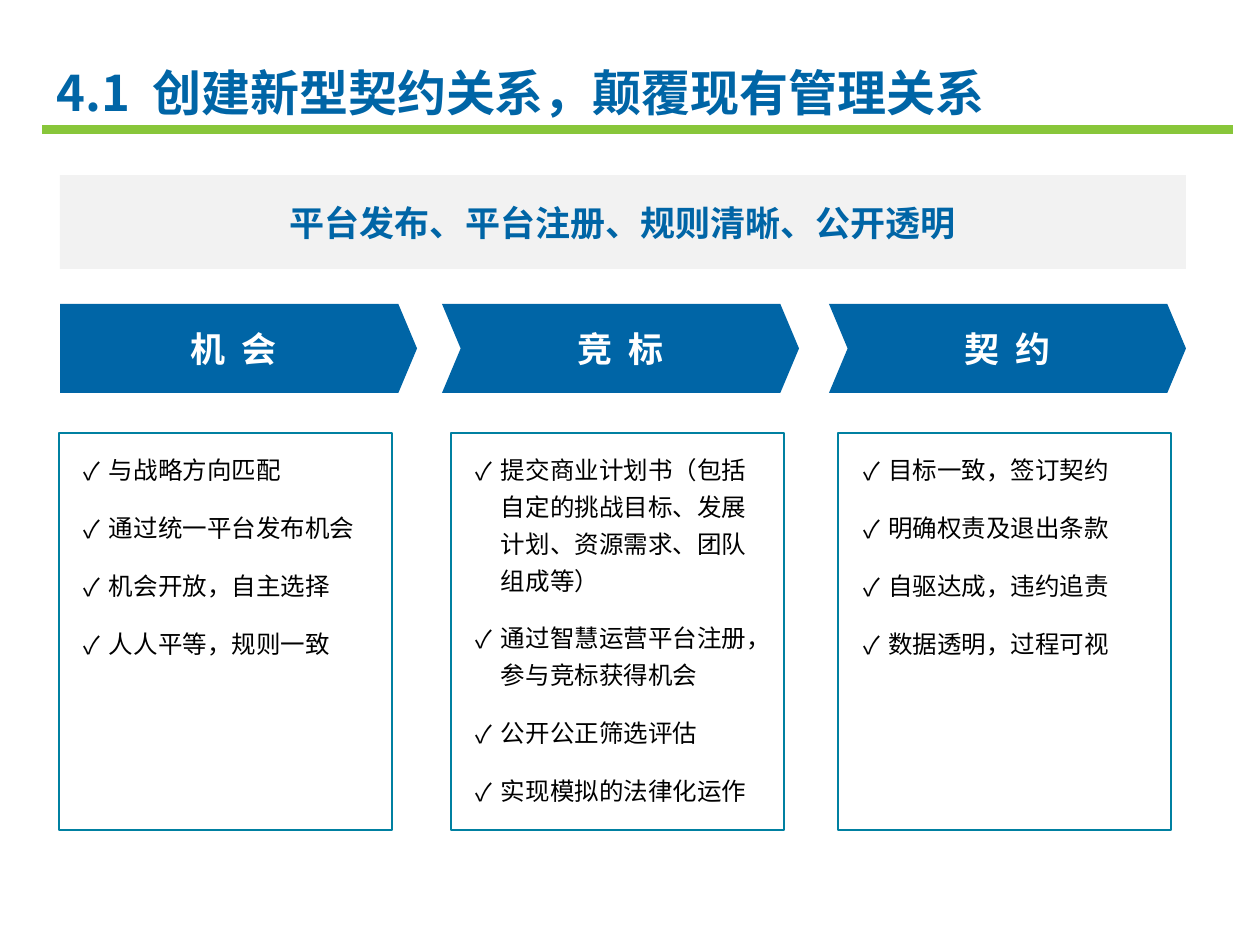
from lxml import etree
from pptx import Presentation, util as u
from pptx.dml.color import RGBColor
from pptx.enum import shapes, text
from pptx.oxml.ns import qn

SCALE = 914400 // 126  # EMU per px
FONT = "Noto Sans CJK SC"
BLUE, GREEN, GREY, TEAL = "0065A6", "88C63A", "F2F2F2", "0080A1"
WHITE, BLACK = "FFFFFF", "000000"
SHAPE = shapes.MSO_SHAPE
ALIGN = text.PP_ALIGN

COLUMNS = [
    (60, 59, SHAPE.PENTAGON, "机 会",
     ["与战略方向匹配", "通过统一平台发布机会", "机会开放，自主选择", "人人平等，规则一致"]),
    (442, 451, SHAPE.CHEVRON, "竞 标",
     ["提交商业计划书（包括自定的挑战目标、发展计划、资源需求、团队组成等）",
      "通过智慧运营平台注册，参与竞标获得机会", "公开公正筛选评估", "实现模拟的法律化运作"]),
    (829, 838, SHAPE.CHEVRON, "契 约",
     ["目标一致，签订契约", "明确权责及退出条款", "自驱达成，违约追责", "数据透明，过程可视"]),
]


def px(value):
    return u.Emu(value * SCALE)


def color(value):
    return RGBColor.from_string(value)


def set_frame(shape, insets, anchor):
    frame = shape.text_frame
    frame.word_wrap = True
    frame.vertical_anchor = anchor
    frame.margin_left, frame.margin_top, frame.margin_right, frame.margin_bottom = map(px, insets)
    return frame


def style(para, size, hue, bold=False, align=ALIGN.LEFT):
    para.alignment = align
    font = para.font
    font.name, font.size, font.bold = FONT, u.Pt(size), bold
    font.color.rgb = color(hue)
    latin = para._p.pPr.find(qn("a:defRPr")).find(qn("a:latin"))
    east_asian = etree.Element(qn("a:ea"), typeface=FONT)
    latin.addnext(east_asian)


def add_spaced_text(para, words, size):
    """Write words with the gap between them widened by letter spacing."""
    first, second = words.split(" ")
    para.add_run().text = first
    gap = para.add_run()
    gap.text = " "
    gap._r.get_or_add_rPr().set("spc", str(size * 22))
    para.add_run().text = second


def add_block(page, kind, left, top, width, height, fill=None, line=None):
    shape = page.shapes.add_shape(kind, px(left), px(top), px(width), px(height))
    shape.shadow.inherit = False
    if fill:
        shape.fill.solid()
        shape.fill.fore_color.rgb = color(fill)
    else:
        shape.fill.background()
    if line:
        shape.line.color.rgb = color(line)
        shape.line.width = u.Pt(1.5)
    else:
        shape.line.fill.background()
    return shape


def add_title(page, words):
    box = page.shapes.add_textbox(px(44), px(42), px(1225), px(67))
    para = set_frame(box, (13, 6, 13, 6), text.MSO_ANCHOR.TOP).paragraphs[0]
    para.line_spacing = 1.25
    style(para, 28, BLUE, bold=True)
    add_spaced_text(para, words, 28)


def add_banner(page, words):
    banner = add_block(page, SHAPE.RECTANGLE, 60, 175, 1126, 94, fill=GREY)
    para = set_frame(banner, (13, 6, 13, 6), text.MSO_ANCHOR.MIDDLE).paragraphs[0]
    para.text = words
    style(para, 20, BLUE, bold=True, align=ALIGN.CENTER)


def add_step(page, kind, left, words):
    step = add_block(page, kind, left, 304, 357, 89, fill=BLUE)
    step.adjustments[0] = 0.21
    para = set_frame(step, (0, 6, 0, 6), text.MSO_ANCHOR.MIDDLE).paragraphs[0]
    style(para, 20, WHITE, bold=True, align=ALIGN.CENTER)
    add_spaced_text(para, words, 20)


def add_checklist(page, left, items):
    box = add_block(page, SHAPE.RECTANGLE, left, 433, 333, 397, line=TEAL)
    frame = set_frame(box, (25, 15, 25, 35), text.MSO_ANCHOR.TOP)
    for index, item in enumerate(items):
        para = frame.paragraphs[0] if index == 0 else frame.add_paragraph()
        para.text = item
        para.line_spacing = 1.25
        para.space_before = u.Pt(6 if index else 0)
        para.space_after = u.Pt(6)
        props = para._p.get_or_add_pPr()
        props.set("marL", str(px(25)))
        props.set("indent", str(-px(25)))
        etree.SubElement(props, qn("a:buFont"), typeface=FONT)
        etree.SubElement(props, qn("a:buChar"), char="✓")
        style(para, 14, BLACK)


def main():
    deck = Presentation()
    deck.slide_width, deck.slide_height = u.Inches(10), u.Inches(7.5)
    page = deck.slides.add_slide(deck.slide_layouts[6])

    # Heading
    add_block(page, SHAPE.RECTANGLE, 42, 125, 1191, 9, fill=GREEN)
    add_title(page, "4.1 创建新型契约关系，颠覆现有管理关系")
    add_banner(page, "平台发布、平台注册、规则清晰、公开透明")

    # Three steps, each with its checklist
    for step_left, list_left, kind, name, items in COLUMNS:
        add_step(page, kind, step_left, name)
        add_checklist(page, list_left, items)

    deck.save("out.pptx")


if __name__ == "__main__":
    main()
